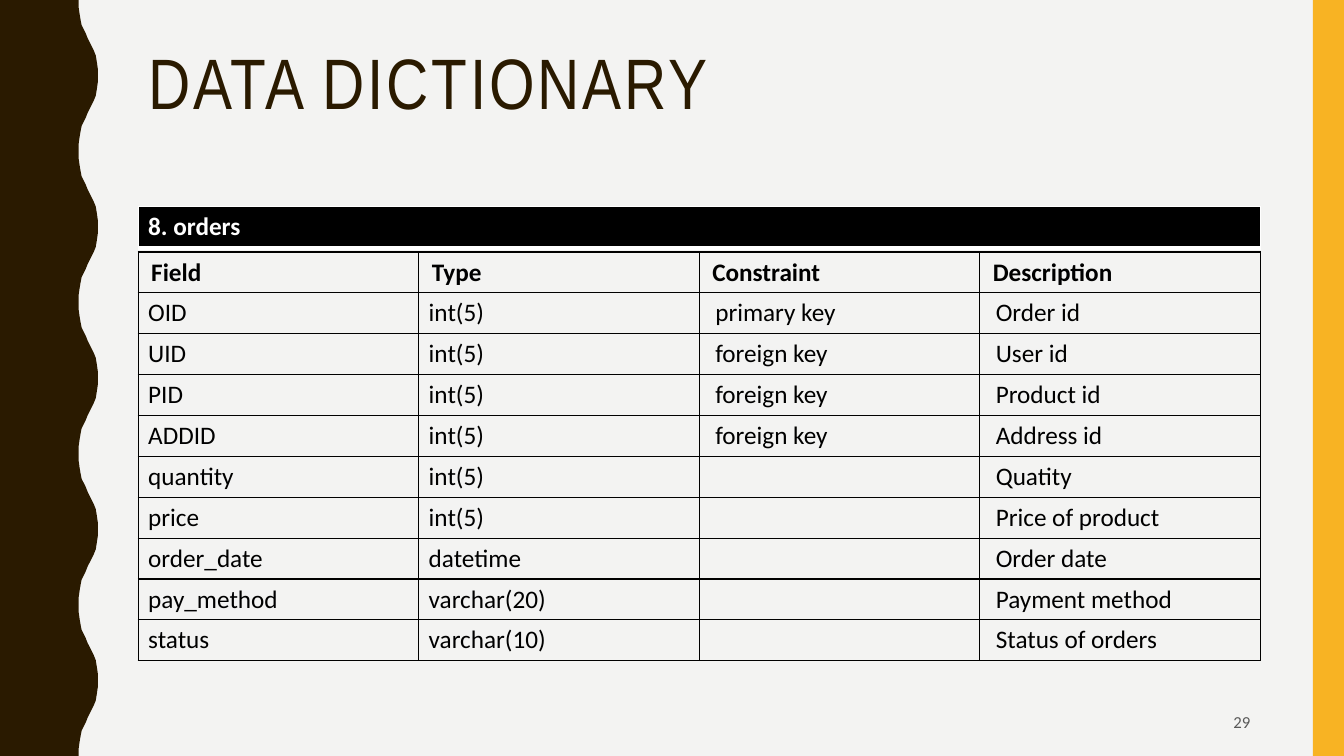
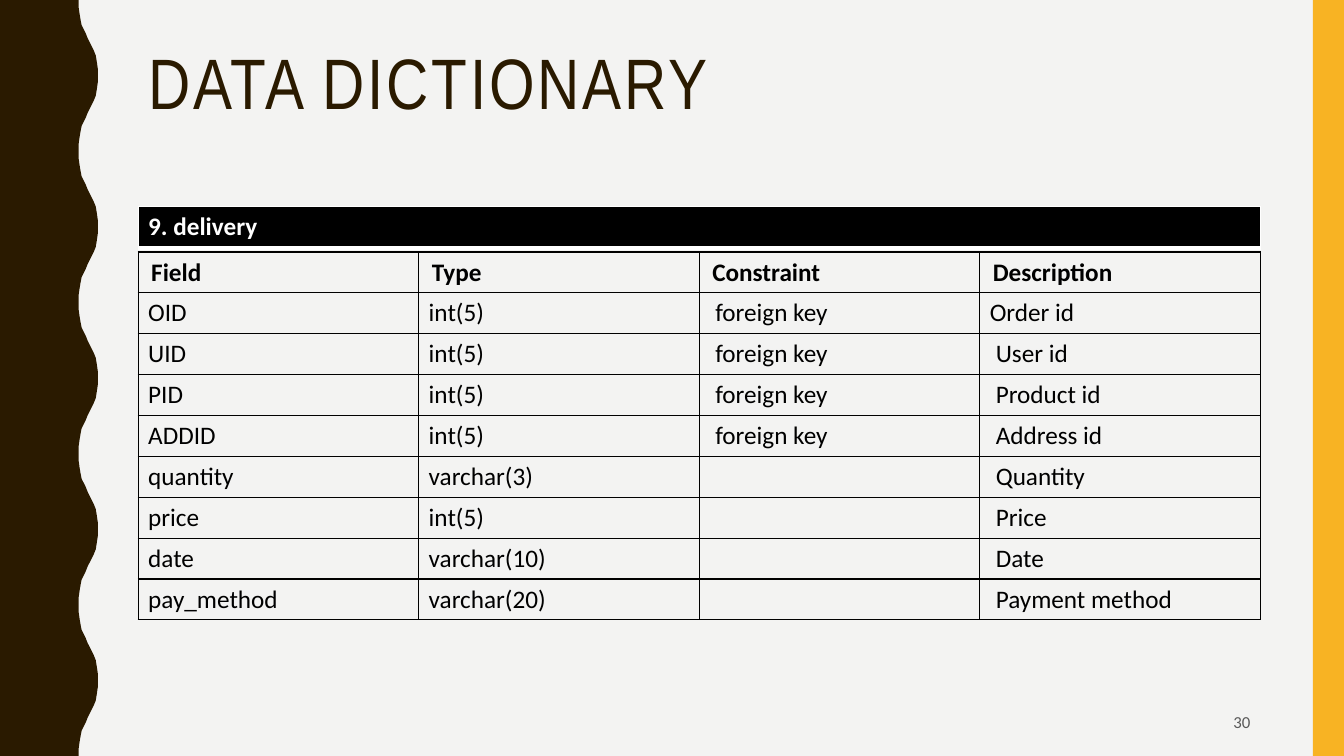
from dataclasses import dataclass

from pptx import Presentation
from pptx.dml.color import RGBColor
from pptx.enum.shapes import MSO_SHAPE
from pptx.enum.text import MSO_ANCHOR, MSO_AUTO_SIZE, PP_ALIGN
from pptx.oxml.ns import qn
from pptx.util import Inches, Pt
from lxml.etree import SubElement


@dataclass(frozen=True)
class Theme:
    background: str = "F3F3F2"
    brown: str = "2A1A00"
    yellow: str = "F8B323"
    black: str = "000000"
    white: str = "FFFFFF"
    grey: str = "595959"
    title_font: str = "Arial Narrow"
    body_font: str = "Calibri"
    title_size: int = 51
    body_size: int = 18
    number_size: int = 12


THEME = Theme()

TITLE = "DATA DICTIONARY"
HEADINGS = ("Field", "Type", "Constraint", "Description")
# "flush" lists the (row, column) cells that go without the usual indent.
TABLES = [
    {"number": 29, "caption": "8. orders", "flush": (), "rows": [
        ("OID", "int(5)", "primary key", "Order id"),
        ("UID", "int(5)", "foreign key", "User id"),
        ("PID", "int(5)", "foreign key", "Product id"),
        ("ADDID", "int(5)", "foreign key", "Address id"),
        ("quantity", "int(5)", "", "Quatity"),
        ("price", "int(5)", "", "Price of product"),
        ("order_date", "datetime", "", "Order date"),
        ("pay_method", "varchar(20)", "", "Payment method"),
        ("status", "varchar(10)", "", "Status of orders"),
    ]},
    {"number": 30, "caption": "9. delivery", "flush": ((1, 3),), "rows": [
        ("OID", "int(5)", "foreign key", "Order id"),
        ("UID", "int(5)", "foreign key", "User id"),
        ("PID", "int(5)", "foreign key", "Product id"),
        ("ADDID", "int(5)", "foreign key", "Address id"),
        ("quantity", "varchar(3)", "", "Quantity"),
        ("price", "int(5)", "", "Price"),
        ("date", "varchar(10)", "", "Date"),
        ("pay_method", "varchar(20)", "", "Payment method"),
    ]},
]

SLIDE_W, SLIDE_H = 13.33, 7.5
LEFT, WIDTH = 1.37, 11.13
CAPTION_TOP, CAPTION_H = 2.05, 0.41
FIELDS_TOP, ROW_H = 2.5, 0.4
STRIPE_W = 0.31
CELL_INDENT = {"heading": 0.13, "plain": 0.1, "indented": 0.16}

# The wave from trough to crest; its mirror image completes one period.
WAVE_PERIOD, WAVE_COUNT = 1.5, 5
HALF_WAVE = [(0.78, 0), (0.78, 0.07), (0.79, 0.14), (0.8, 0.2), (0.81, 0.25),
             (0.83, 0.29), (0.85, 0.33), (0.87, 0.38), (0.89, 0.42),
             (0.91, 0.46), (0.93, 0.5), (0.95, 0.55), (0.96, 0.61),
             (0.97, 0.68), (0.97, 0.75)]


def rgb(color):
    return RGBColor.from_string(color)


def style(p, size, color, font=THEME.body_font, bold=False):
    p.font.size = Pt(size)
    p.font.name = font
    p.font.bold = bold
    p.font.color.rgb = rgb(color)


def paint(shape, color):
    shape.shadow.inherit = False
    shape.fill.solid()
    shape.fill.fore_color.rgb = rgb(color)
    shape.line.fill.background()


def add_decoration(s):
    period = HALF_WAVE + [(x, WAVE_PERIOD - y) for x, y in HALF_WAVE[-2::-1]]
    edge = [(x, y + i * WAVE_PERIOD)
            for i in range(WAVE_COUNT) for x, y in period]
    points = [(Inches(x), Inches(y)) for x, y in edge + [(0, SLIDE_H)]]
    wave = s.shapes.build_freeform(0, 0)
    wave.add_line_segments(points, close=True)
    paint(wave.convert_to_shape(), THEME.brown)
    stripe = s.shapes.add_shape(
        MSO_SHAPE.RECTANGLE, Inches(SLIDE_W - STRIPE_W), 0,
        Inches(STRIPE_W), Inches(SLIDE_H))
    paint(stripe, THEME.yellow)


def add_title(s):
    title = s.shapes.title
    title.left, title.top = Inches(LEFT), Inches(0.42)
    title.width, title.height = Inches(WIDTH), Inches(1.63)
    tf = title.text_frame
    tf.text = TITLE
    tf.auto_size = MSO_AUTO_SIZE.NONE
    tf.vertical_anchor = MSO_ANCHOR.TOP
    p = tf.paragraphs[0]
    p.alignment = PP_ALIGN.LEFT
    p.line_spacing = 0.9
    style(p, THEME.title_size, THEME.brown, THEME.title_font)
    p.runs[0].font._element.set("spc", "200")


def add_number(s, number):
    box = s.shapes.add_textbox(
        Inches(9.42), Inches(6.97), Inches(3.08), Inches(0.38))
    tf = box.text_frame
    tf.word_wrap = True
    tf.vertical_anchor = MSO_ANCHOR.MIDDLE
    p = tf.paragraphs[0]
    p.text = str(number)
    p.alignment = PP_ALIGN.RIGHT
    style(p, THEME.number_size, THEME.grey)


def set_borders(cell, color, bottom=1):
    tc_pr = cell._tc.get_or_add_tcPr()
    for side, width in (("L", 1), ("R", 1), ("T", 1), ("B", bottom)):
        ln = SubElement(tc_pr, qn(f"a:ln{side}"), w=str(Pt(width)))
        fill = SubElement(ln, qn("a:solidFill"))
        SubElement(fill, qn("a:srgbClr"), val=color)


def add_plain_table(s, rows, cols, top, row_h):
    """Add a table of equal cells without the banded style."""
    table = s.shapes.add_table(
        rows, cols, Inches(LEFT), Inches(top),
        Inches(WIDTH), Inches(row_h * rows)).table
    table.first_row = table.horz_banding = False
    return table


def add_fields(s, rows, flush):
    grid = [HEADINGS] + rows
    table = add_plain_table(s, len(grid), len(HEADINGS), FIELDS_TOP, ROW_H)
    for i, row in enumerate(grid):
        for j, text in enumerate(row):
            cell = table.cell(i, j)
            set_borders(cell, THEME.black)
            cell.fill.background()
            cell.vertical_anchor = MSO_ANCHOR.MIDDLE
            if i == 0:
                kind = "heading"
            else:
                kind = "indented" if j >= 2 and (i, j) not in flush else "plain"
            cell.margin_left = Inches(CELL_INDENT[kind])
            p = cell.text_frame.paragraphs[0]
            p.text = text
            style(p, THEME.body_size, THEME.black, bold=i == 0)


def add_caption(s, caption):
    cell = add_plain_table(s, 1, 1, CAPTION_TOP, CAPTION_H).cell(0, 0)
    set_borders(cell, THEME.white, bottom=3)
    cell.fill.solid()
    cell.fill.fore_color.rgb = rgb(THEME.black)
    p = cell.text_frame.paragraphs[0]
    p.text = caption
    style(p, THEME.body_size, THEME.white, bold=True)


def main():
    prs = Presentation()
    prs.slide_width, prs.slide_height = Inches(SLIDE_W), Inches(SLIDE_H)
    background = prs.slide_master.background.fill
    background.solid()
    background.fore_color.rgb = rgb(THEME.background)
    title_only = prs.slide_layouts[5]
    for entry in TABLES:
        s = prs.slides.add_slide(title_only)
        add_decoration(s)
        add_title(s)
        add_fields(s, entry["rows"], entry["flush"])
        add_number(s, entry["number"])
        add_caption(s, entry["caption"])
    prs.save("out.pptx")


if __name__ == "__main__":
    main()
